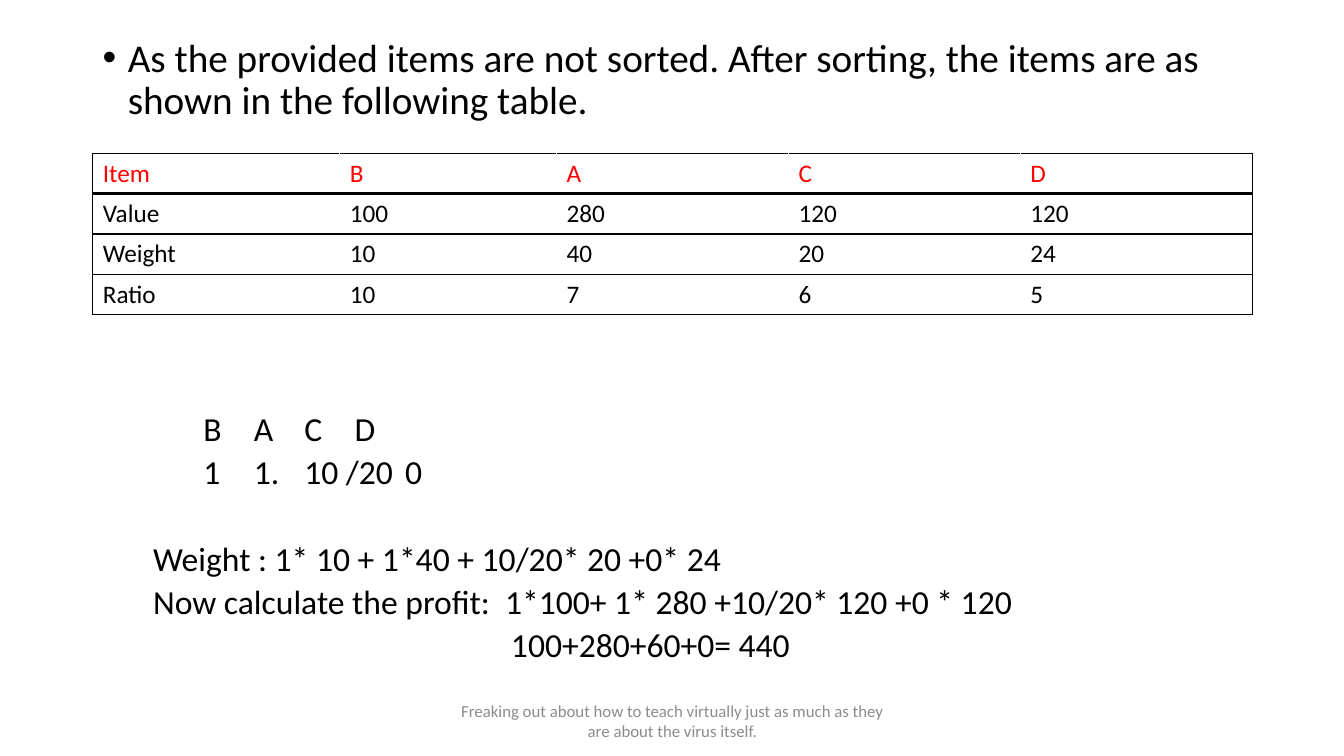
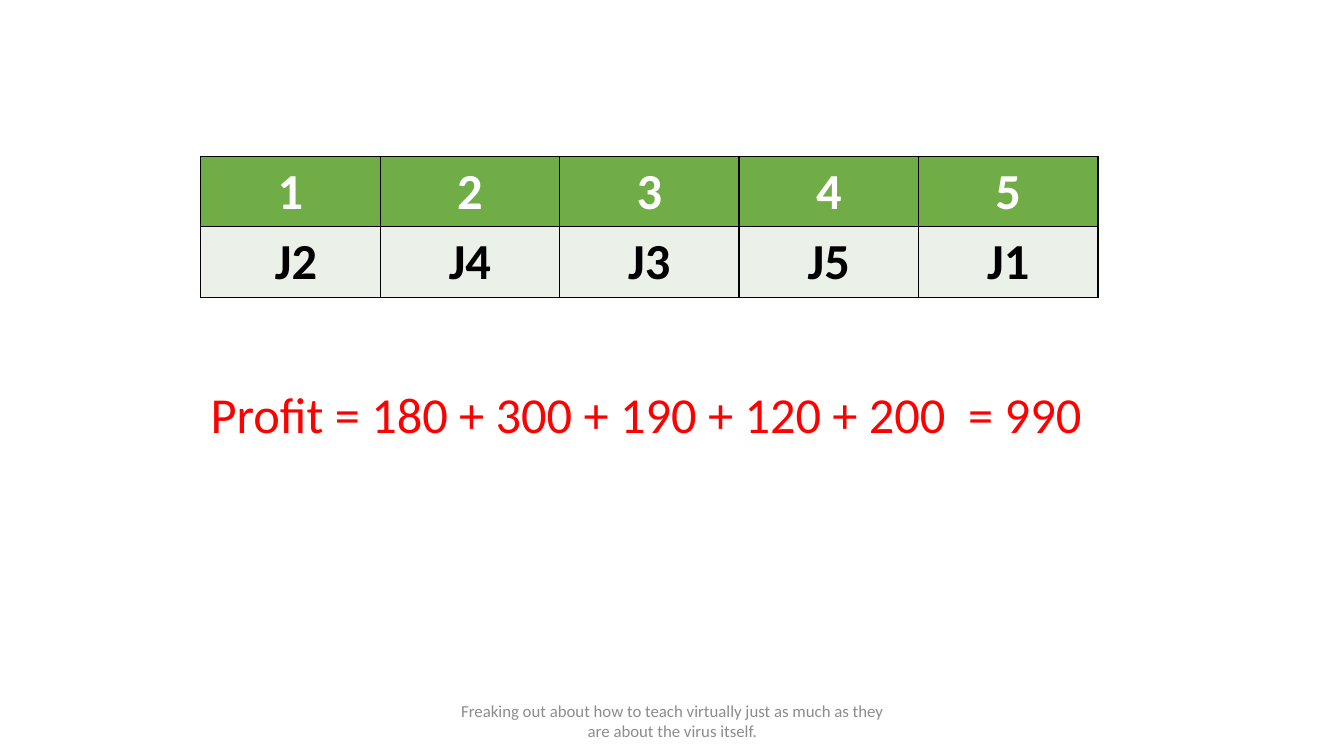
"""Build two slides on greedy solutions: fractional knapsack and job sequencing."""
from lxml.etree import SubElement
from pptx import Presentation
from pptx.dml.color import RGBColor
from pptx.enum.text import MSO_ANCHOR, PP_ALIGN
from pptx.oxml.ns import qn
from pptx.util import Inches, Pt

BLACK = RGBColor(0x00, 0x00, 0x00)
WHITE = RGBColor(0xFF, 0xFF, 0xFF)
RED = RGBColor(0xFF, 0x00, 0x00)
GREY = RGBColor(0x8C, 0x8C, 0x8C)
GREEN = RGBColor(0x70, 0xAD, 0x47)
PALE_GREEN = RGBColor(0xEB, 0xF1, 0xE9)

FONT = "Calibri"
FOOTER = ("Freaking out about how to teach virtually just as much as they "
          "are about the virus itself.")
SORTED_ITEMS = [
    ["Item", "B", "A", "C", "D"],
    ["Value", "100", "280", "120", "120"],
    ["Weight", "10", "40", "20", "24"],
    ["Ratio", "10", "7", "6", "5"],
]
JOB_SLOTS = [["1", "2", "3", "4", "5"], [" J2", "J4", "J3", "J5", "J1"]]
BODY_SPACING = {"line_spacing": 0.9, "space_before": Pt(5)}
WORKING = [
    {"text": "\tB\tA\tC\tD", "tabs": [2, 4, 6, 8]},
    {"text": "\t1\t1.\t10 /20\t0", "tabs": [1.51, 3.56, 5.32, 7.55]},
    {"text": "Weight : 1* 10 + 1*40 + 10/20* 20 +0* 24", "space_before": Pt(36)},
    {"text": "Now calculate the profit:  1*100+ 1* 280 +10/20* 120 +0 * 120"},
    {"text": "100+280+60+0= 440", "indent": 3.55},
]


def apply(target, values):
    for name, value in values.items():
        setattr(target, name, value)


def write(paragraph, text, size, color, bold=False, **layout):
    run = paragraph.add_run()
    run.text = text
    apply(run.font, {"name": FONT, "size": Pt(size), "bold": bold})
    run.font.color.rgb = color
    apply(paragraph, layout)


def add_text_frame(slide, left, top, width, height, wrap=True,
                   anchor=MSO_ANCHOR.TOP):
    box = slide.shapes.add_textbox(*map(Inches, (left, top, width, height)))
    apply(box.text_frame, {"word_wrap": wrap, "vertical_anchor": anchor})
    return box.text_frame


def set_indent(paragraph, left, first=0):
    properties = paragraph._p.get_or_add_pPr()
    properties.set("marL", str(Inches(left)))
    properties.set("indent", str(Inches(first)))
    return properties


def set_tabs(paragraph, stops):
    tab_list = SubElement(paragraph._p.get_or_add_pPr(), qn("a:tabLst"))
    for stop in stops:
        SubElement(tab_list, qn("a:tab"), pos=str(Inches(stop)), algn="l")


def set_borders(cell, borders):
    properties = cell._tc.get_or_add_tcPr()
    for side in "LRTB":
        color, width = borders[side]
        line = SubElement(properties, qn(f"a:ln{side}"), w=str(Pt(width)))
        fill = SubElement(line, qn("a:solidFill"))
        SubElement(fill, qn("a:srgbClr"), val=str(color))


def add_grid(slide, rows, left, top, widths, row_height, style_cell):
    frame = slide.shapes.add_table(
        len(rows), len(widths), Inches(left), Inches(top),
        Inches(sum(widths)), Inches(row_height * len(rows)))
    grid = frame.table
    apply(grid, {"first_row": False, "horz_banding": False})
    for column, width in zip(grid.columns, widths):
        column.width = Inches(width)
    for r, texts in enumerate(rows):
        for c, text in enumerate(texts):
            cell = grid.cell(r, c)
            borders, background, anchor, style = style_cell(r, c)
            set_borders(cell, borders)
            cell.fill.solid()
            cell.fill.fore_color.rgb = background
            cell.vertical_anchor = anchor
            write(cell.text_frame.paragraphs[0], text, **style)


def item_cell(row, column):
    last = len(SORTED_ITEMS[0]) - 1
    borders = {
        "L": (BLACK if column == 0 else WHITE, 1),
        "R": (BLACK if column == last else WHITE, 1),
        "T": (BLACK, 3 if row == 1 else 1),
        "B": (BLACK, 3 if row == 0 else 1),
    }
    style = {"size": 18, "color": BLACK if row else RED}
    return borders, WHITE, MSO_ANCHOR.MIDDLE, style


def job_cell(row, column):
    borders = dict.fromkeys("LRTB", (BLACK, 1))
    style = {"size": 36, "color": BLACK if row else WHITE, "bold": True,
             "alignment": PP_ALIGN.CENTER}
    return borders, PALE_GREEN if row else GREEN, MSO_ANCHOR.TOP, style


def add_bullet(slide, text):
    paragraph = add_text_frame(slide, 0.92, 0.33, 11.5, 1.1).paragraphs[0]
    write(paragraph, text, 28, BLACK, line_spacing=0.9)
    properties = set_indent(paragraph, 0.25, -0.25)
    SubElement(properties, qn("a:buFont"), typeface="Arial")
    SubElement(properties, qn("a:buChar"), char="•")


def add_working(slide):
    frame = add_text_frame(slide, 1.42, 4.04, 11, 2.72)
    for number, line in enumerate(WORKING):
        paragraph = frame.add_paragraph() if number else frame.paragraphs[0]
        spacing = dict(BODY_SPACING)
        spacing["space_before"] = line.get("space_before", Pt(5))
        write(paragraph, line["text"], 24, BLACK, **spacing)
        set_indent(paragraph, line.get("indent", 0))
        if "tabs" in line:
            set_tabs(paragraph, line["tabs"])


def add_slide(deck):
    slide = deck.slides.add_slide(deck.slide_layouts[6])
    footer = add_text_frame(slide, 4.42, 6.95, 4.5, 0.4,
                            anchor=MSO_ANCHOR.MIDDLE)
    write(footer.paragraphs[0], FOOTER, 12, GREY, alignment=PP_ALIGN.CENTER)
    return slide


def build_knapsack(deck):
    slide = add_slide(deck)
    add_bullet(slide, "As the provided items are not sorted. After sorting, "
                      "the items are as shown in the following table.")
    add_working(slide)
    add_grid(slide, SORTED_ITEMS, 0.92, 1.52, [2.45, 2.15, 2.3, 2.3, 2.3],
             0.4, item_cell)


def build_jobs(deck):
    slide = add_slide(deck)
    add_grid(slide, JOB_SLOTS, 1.99, 1.55, [1.78] * 5, 0.7, job_cell)
    profit = add_text_frame(slide, 1.99, 3.75, 8.93, 0.71, wrap=False)
    write(profit.paragraphs[0], "Profit = 180 + 300 + 190 + 120 + 200  = 990",
          36, RED)


def main():
    deck = Presentation()
    apply(deck, {"slide_width": Inches(13.33), "slide_height": Inches(7.5)})
    build_knapsack(deck)
    build_jobs(deck)
    deck.save("out.pptx")


if __name__ == "__main__":
    main()
